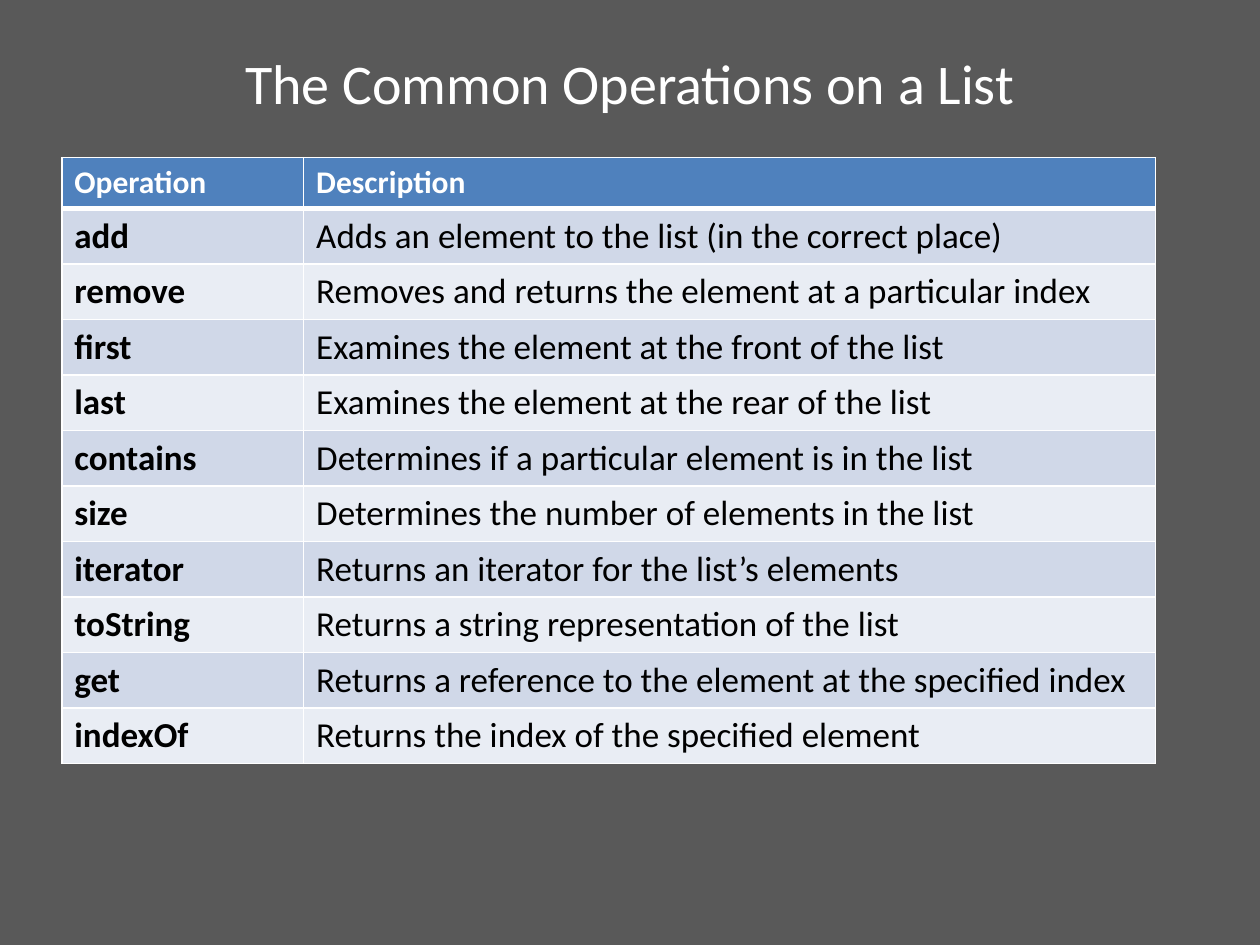
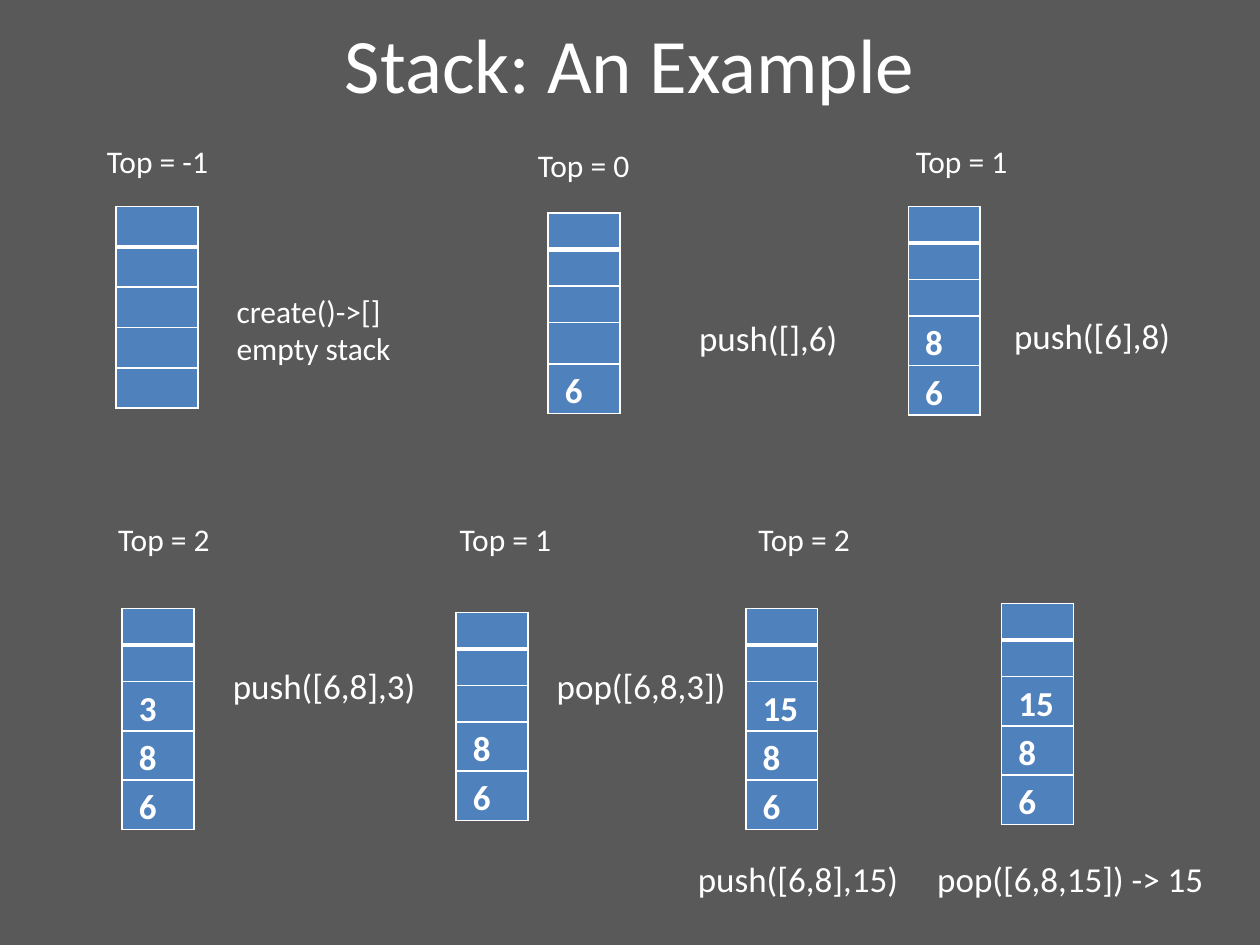
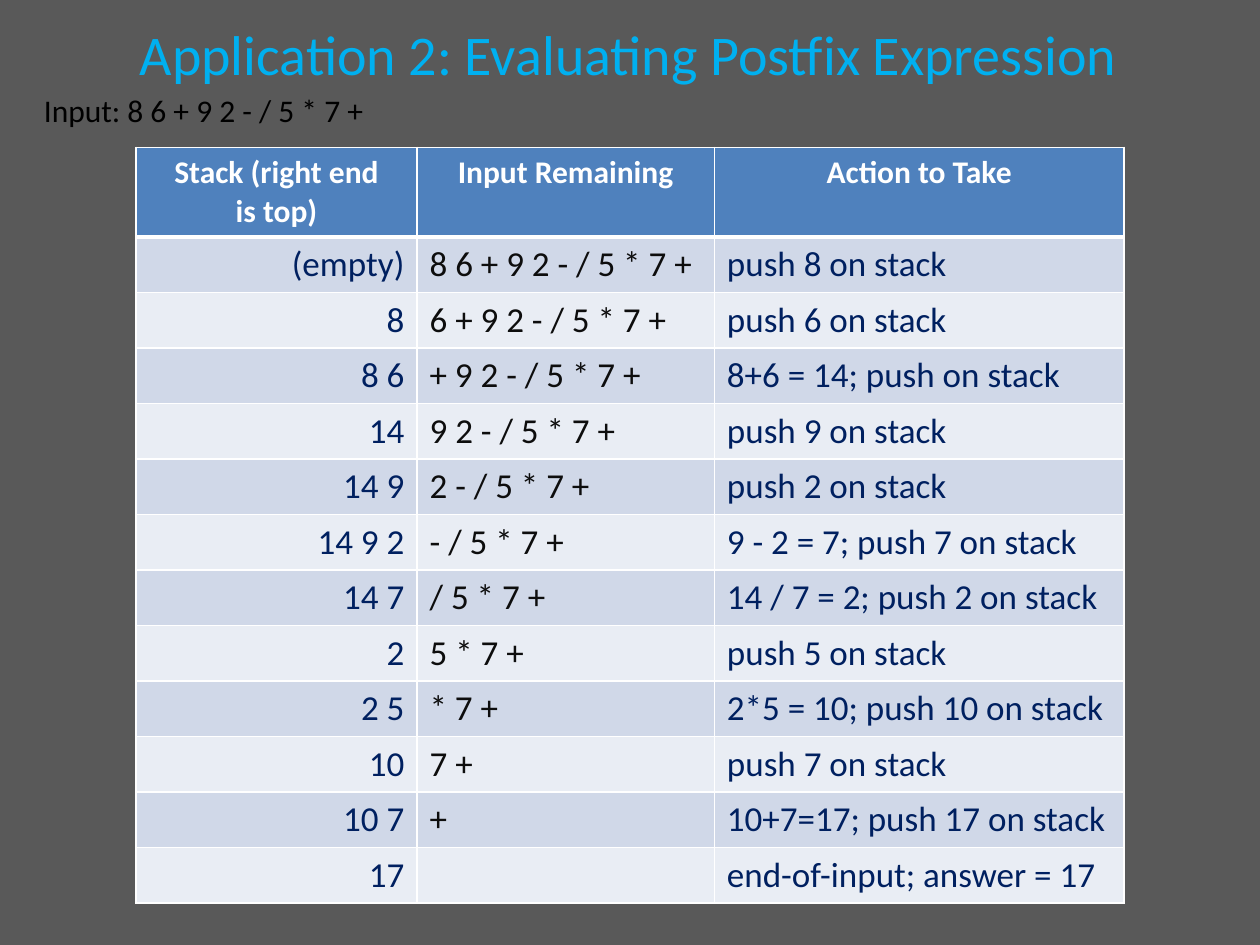
from dataclasses import dataclass

from lxml import etree
from pptx import Presentation
from pptx.dml.color import RGBColor
from pptx.enum.text import MSO_ANCHOR, MSO_AUTO_SIZE, PP_ALIGN
from pptx.oxml.ns import qn
from pptx.presentation import Presentation as Deck
from pptx.slide import Slide
from pptx.table import Table, _Cell
from pptx.text.text import TextFrame
from pptx.util import Emu, Inches, Pt

LEFT, CENTER, RIGHT = PP_ALIGN.LEFT, PP_ALIGN.CENTER, PP_ALIGN.RIGHT
MIDDLE, TOP = MSO_ANCHOR.MIDDLE, MSO_ANCHOR.TOP
FIXED, GROW = MSO_AUTO_SIZE.NONE, MSO_AUTO_SIZE.SHAPE_TO_FIT_TEXT

# The slide is a grid of 100 columns by 75 rows of square units.
COLUMNS, ROWS = 100, 75
UNIT = Inches(0.1)

FONT = "Calibri"
GRAY, WHITE, BLACK, INK = "595959", "FFFFFF", "000000", "0D0D0D"
BLUE, NAVY, SKY = "4F81BD", "002060", "00B0F0"
BANDS = ("D0D8E8", "E9EDF4")
PLAIN_TABLE = "{2D5ABB26-0587-4C30-8999-92F81FD0307C}"

HEADER_LINE, TEXT_ROW = 3, 4.4
EMPTY_SLOT, FILLED_SLOT = 2.9, 3.85


@dataclass(frozen=True)
class TextStyle:
    size: int
    color: str = WHITE
    bold: bool = False
    align: PP_ALIGN = LEFT
    spacing: float = 1.0


@dataclass(frozen=True)
class Box:
    """A place on the grid, in units."""
    left: float
    top: float
    width: float
    height: float


@dataclass(frozen=True)
class Column:
    header: str
    width: float
    style: TextStyle


@dataclass(frozen=True)
class Stack:
    left: float
    top: float
    values: tuple[str, ...]
    empty: tuple[float, ...]
    width: float = 5.7


@dataclass(frozen=True)
class Label:
    text: str
    box: Box
    size: int = 20
    wrap: bool = True


LABEL = TextStyle(18)
SLOT = TextStyle(20, bold=True, spacing=1.15)
EMPTY = TextStyle(10)

OPERATION_COLUMNS = (
    Column("Operation", 19.2, TextStyle(20, BLACK, bold=True)),
    Column("Description", 67.6, TextStyle(20, BLACK)),
)
OPERATIONS = (
    ("add", "Adds an element to the list (in the correct place)"),
    ("remove", "Removes and returns the element at a particular index"),
    ("first", "Examines the element at the front of the list"),
    ("last", "Examines the element at the rear of the list"),
    ("contains", "Determines if a particular element is in the list"),
    ("size", "Determines the number of elements in the list"),
    ("iterator", "Returns an iterator for the list’s elements"),
    ("toString", "Returns a string representation of the list"),
    ("get", "Returns a reference to the element at the specified index"),
    ("indexOf", "Returns the index of the specified element"),
)

STACKS = (
    Stack(9.2, 16.4, (), (3.2,) * 5, width=6.5),
    Stack(43.5, 16.9, ("6",), (EMPTY_SLOT,) * 3 + (3.3,)),
    Stack(72.1, 16.4, ("8", "6"), (EMPTY_SLOT,) * 3),
    Stack(9.7, 48.3, ("3", "8", "6"), (EMPTY_SLOT,) * 2),
    Stack(36.2, 48.6, ("8", "6"), (EMPTY_SLOT,) * 3),
    Stack(59.2, 48.3, ("15", "8", "6"), (EMPTY_SLOT,) * 2),
    Stack(79.5, 47.9, ("15", "8", "6"), (EMPTY_SLOT,) * 2),
)
TOP_INDEXES = tuple(
    Label(f"Top = {index}", Box(left, top, width, 4), size=18, wrap=False)
    for index, left, top, width in (
        (-1, 7.5, 10.8, 10.2),
        (0, 41.7, 11.1, 9.4),
        (1, 71.7, 10.8, 9.4),
        (2, 8.4, 40.8, 9.4),
        (1, 35.5, 40.8, 9.4),
        (2, 59.2, 40.8, 9.4),
    )
)
CALLS = (
    Label("create()->[]\nempty stack", Box(17.8, 22.6, 17.3, 7.1), size=18),
    Label("push([],6)", Box(54.5, 24.6, 15.1, 4.4)),
    Label("push([6],8)", Box(79.5, 24.4, 16.4, 4.4)),
    Label("push([6,8],3)", Box(17.5, 52.2, 17.3, 4.4)),
    Label("pop([6,8,3])", Box(43.2, 52.2, 16, 4.4)),
    Label("push([6,8],15)", Box(54.4, 67.5, 19, 4.4)),
    Label("pop([6,8,15]) -> 15", Box(73.4, 67.5, 26.6, 4.4)),
)

EXPRESSION = "8 6 + 9 2 - / 5 * 7 +"
POSTFIX_COLUMNS = (
    Column("Stack (right end\nis top)", 22.3, TextStyle(20, NAVY, align=RIGHT)),
    Column("Input Remaining", 23.6, TextStyle(20, INK)),
    Column("Action to Take", 32.5, TextStyle(20, NAVY)),
)
POSTFIX_STEPS = (
    ("(empty)", "push 8 on stack"),
    ("8", "push 6 on stack"),
    ("8 6", "8+6 = 14; push on stack"),
    ("14", "push 9 on stack"),
    ("14 9", "push 2 on stack"),
    ("14 9 2", "9 - 2 = 7; push 7 on stack"),
    ("14 7", "14 / 7 = 2; push 2 on stack"),
    ("2", "push 5 on stack"),
    ("2 5", "2*5 = 10; push 10 on stack"),
    ("10", "push 7 on stack"),
    ("10 7", "10+7=17; push 17 on stack"),
    ("17", "end-of-input; answer = 17"),
)


def units(count: float) -> Emu:
    return Emu(round(count * UNIT))


def place(box: Box) -> tuple[Emu, Emu, Emu, Emu]:
    return units(box.left), units(box.top), units(box.width), units(box.height)


def rgb(color: str) -> RGBColor:
    return RGBColor.from_string(color)


def write(frame: TextFrame, text: str, style: TextStyle) -> None:
    """Fill a frame with one paragraph a line, all in one style."""
    frame.text = text
    for paragraph in frame.paragraphs:
        paragraph.alignment = style.align
        paragraph.line_spacing = style.spacing
        paragraph.font.name = FONT
        paragraph.font.size = Pt(style.size)
        paragraph.font.bold = style.bold
        paragraph.font.color.rgb = rgb(style.color)


def add_titled_slide(deck: Deck, text: str, box: Box, size: int, color: str = WHITE) -> Slide:
    slide = deck.slides.add_slide(deck.slide_layouts[5])
    title = slide.shapes.title
    title.left, title.top, title.width, title.height = place(box)
    write(title.text_frame, text, TextStyle(size, color, align=CENTER))
    title.text_frame.vertical_anchor = MIDDLE
    title.text_frame.auto_size = FIXED
    return slide


def add_text(slide: Slide, text: str, box: Box, style: TextStyle,
             anchor: MSO_ANCHOR = MIDDLE, wrap: bool = True,
             fit: MSO_AUTO_SIZE = GROW) -> None:
    frame = slide.shapes.add_textbox(*place(box)).text_frame
    write(frame, text, style)
    frame.vertical_anchor = anchor
    frame.word_wrap = wrap
    frame.auto_size = fit


def paint_cell(cell: _Cell, color: str, top_line: float, bottom_line: float) -> None:
    """Fill a cell and rule its four sides in white."""
    cell.fill.solid()
    cell.fill.fore_color.rgb = rgb(color)
    properties = cell._tc.get_or_add_tcPr()
    sides = (("lnL", 1), ("lnR", 1), ("lnT", top_line), ("lnB", bottom_line))
    for index, (side, weight) in enumerate(sides):
        line = etree.Element(qn(f"a:{side}"), w=str(Pt(weight)))
        fill = etree.SubElement(line, qn("a:solidFill"))
        etree.SubElement(fill, qn("a:srgbClr"), val=WHITE)
        properties.insert(index, line)


def add_grid(slide: Slide, left: float, top: float, widths: list[float],
             heights: list[float], bands: tuple[str, ...]) -> Table:
    """Add a table with a header row, a thick rule below it and banded rows."""
    box = Box(left, top, sum(widths), sum(heights))
    table = slide.shapes.add_table(len(heights), len(widths), *place(box)).table
    table._tbl.tblPr.find(qn("a:tableStyleId")).text = PLAIN_TABLE
    for column, width in zip(table.columns, widths):
        column.width = units(width)
    for index, (row, height) in enumerate(zip(table.rows, heights)):
        row.height = units(height)
        color = bands[(index - 1) % len(bands)] if index else BLUE
        for cell in row.cells:
            paint_cell(cell, color,
                       top_line=HEADER_LINE if index == 1 else 1,
                       bottom_line=HEADER_LINE if index == 0 else 1)
    return table


def add_text_table(slide: Slide, left: float, top: float, columns: tuple[Column, ...],
                   records: list[tuple[str, ...]], header_height: float,
                   header_align: PP_ALIGN) -> None:
    heights = [header_height] + [TEXT_ROW] * len(records)
    table = add_grid(slide, left, top, [column.width for column in columns], heights, BANDS)
    header_style = TextStyle(18, bold=True, align=header_align)
    for position, column in enumerate(columns):
        write(table.cell(0, position).text_frame, column.header, header_style)
        for row, record in enumerate(records, start=1):
            write(table.cell(row, position).text_frame, record[position], column.style)


def add_stack(slide: Slide, stack: Stack) -> None:
    heights = [*stack.empty, *[FILLED_SLOT] * len(stack.values)]
    table = add_grid(slide, stack.left, stack.top, [stack.width], heights, (BLUE,))
    slots = ("",) * len(stack.empty) + stack.values
    for row, value in enumerate(slots):
        cell = table.cell(row, 0)
        cell.margin_left, cell.margin_right = units(1.33), units(0.7)
        cell.margin_top = cell.margin_bottom = 0
        write(cell.text_frame, value, SLOT if value else EMPTY)


def build_operations(deck: Deck) -> None:
    slide = add_titled_slide(deck, "The Common Operations on a List", Box(5, 3, 90, 7), 32)
    add_text_table(slide, 4.9, 12.5, OPERATION_COLUMNS, list(OPERATIONS), 4, LEFT)


def build_stack_example(deck: Deck) -> None:
    slide = add_titled_slide(deck, "Stack: An Example", Box(5, 0.8, 90, 8.3), 44)
    for stack in STACKS:
        add_stack(slide, stack)
    for label in TOP_INDEXES + CALLS:
        add_text(slide, label.text, label.box, TextStyle(label.size), wrap=label.wrap)


def build_postfix(deck: Deck) -> None:
    slide = add_titled_slide(deck, "Application 2: Evaluating Postfix Expression ",
                             Box(2.5, 1.7, 95.8, 5), 32, SKY)
    add_text(slide, f"Input: {EXPRESSION}", Box(2.5, 6.7, 95.8, 64.2),
             TextStyle(18, BLACK), anchor=TOP, fit=FIXED)
    tokens = EXPRESSION.split()
    records = [(held, " ".join(tokens[step:]), action)
               for step, (held, action) in enumerate(POSTFIX_STEPS)]
    add_text_table(slide, 10.8, 11.7, POSTFIX_COLUMNS, records, 7, CENTER)


def main() -> None:
    deck = Presentation()
    deck.slide_width, deck.slide_height = units(COLUMNS), units(ROWS)
    background = deck.slide_master.background.fill
    background.solid()
    background.fore_color.rgb = rgb(GRAY)
    build_operations(deck)
    build_stack_example(deck)
    build_postfix(deck)
    deck.save("out.pptx")


if __name__ == "__main__":
    main()
